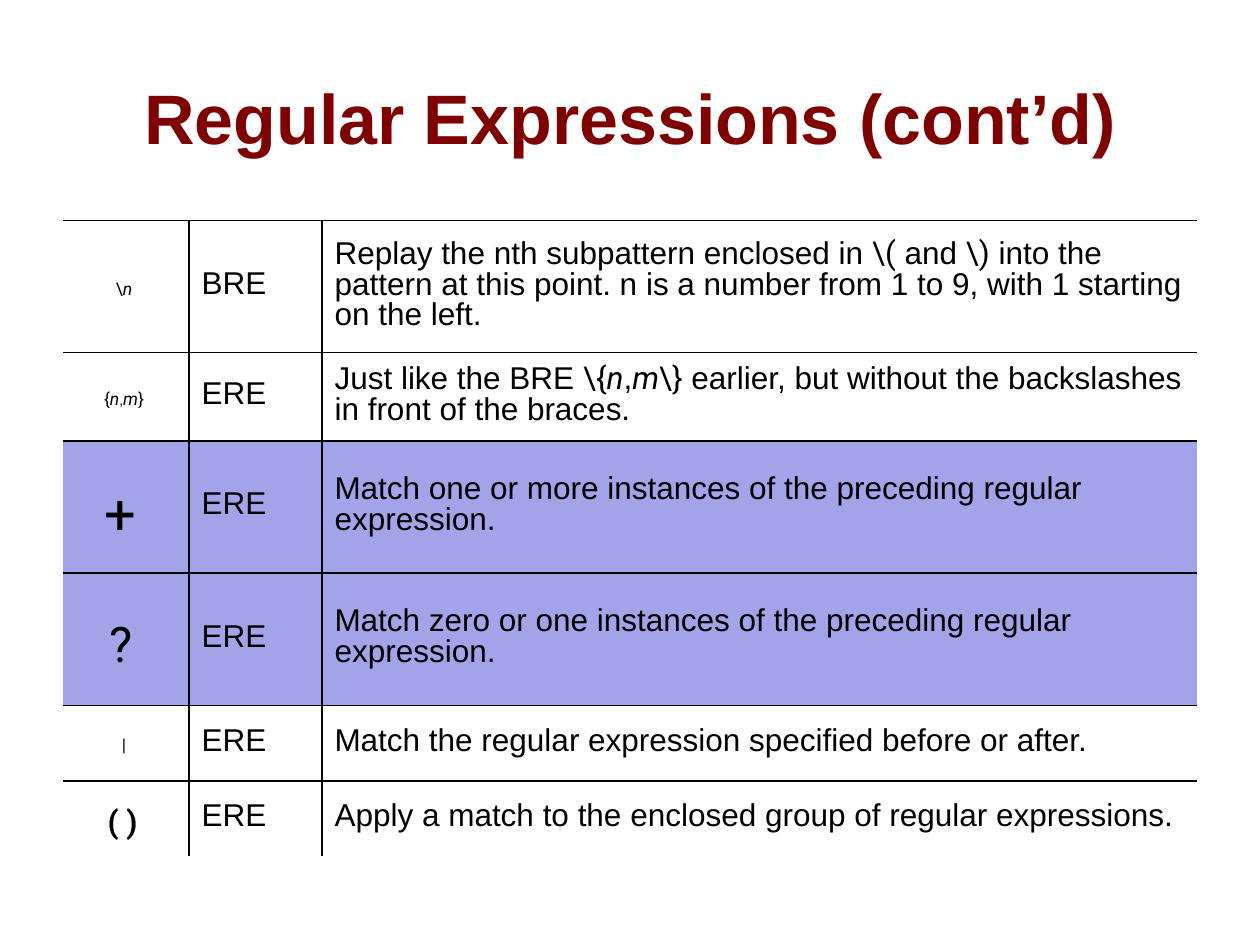
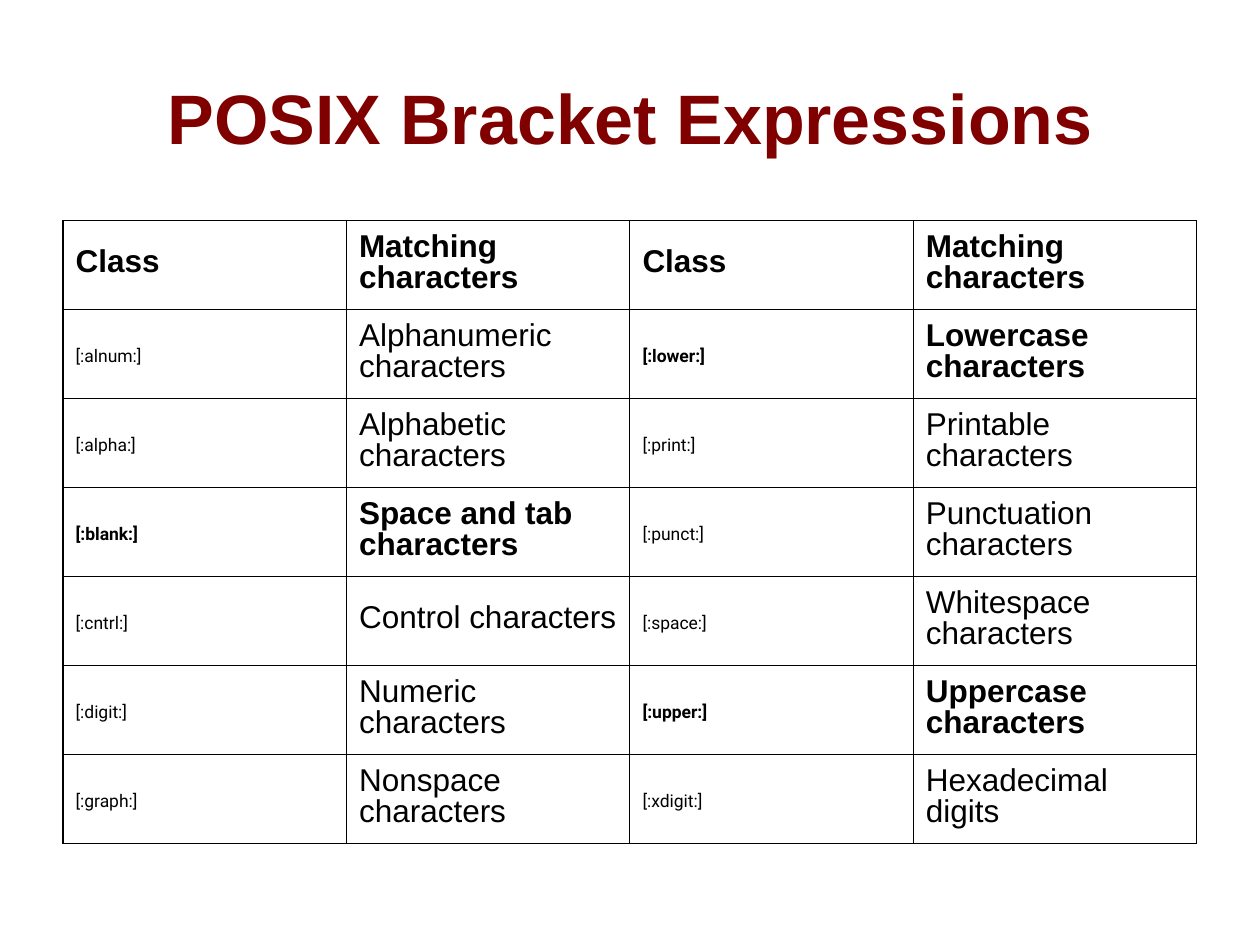
import pptx
import pptx.util
import pptx.dml.color
import pptx.enum.text
import lxml.etree

# Content: a run is (text, size, marks); marks: r = Roboto, i = italic, b = bold
TITLES = ["Regular Expressions (cont’d)", "POSIX Bracket Expressions"]

RULES = [
    ([("\\", 10, "r"), ("n", 10, "ri"), (" ", 8, "")], "BRE ",
     [("Replay the nth subpattern enclosed in ", 18, ""), ("\\(", 18, "r"),
      (" and ", 18, ""), ("\\)", 18, "r"),
      (" into the pattern at this point. n is a number from 1 to 9, "
       "with 1 starting on the left. ", 18, "")]),
    ([("{", 10, "r"), ("n", 10, "ri"), (",", 8, ""), ("m", 10, "ri"),
      ("}", 10, "r"), (" ", 8, "")], "ERE ",
     [("Just like the BRE ", 18, ""), ("\\{", 18, "r"), ("n", 18, "ri"),
      (",", 18, ""), ("m", 18, "ri"), ("\\}", 18, "r"),
      (" earlier, but without the backslashes in front of the braces. ",
       18, "")]),
    ([("+", 32, "r"), (" ", 24, "")], "ERE ",
     [("Match one or more instances of the preceding regular expression. ",
       18, "")]),
    ([("?", 28, "r"), (" ", 20, "")], "ERE ",
     [("Match zero or one instances of the preceding regular expression. ",
       18, "")]),
    ([("|", 10, "r"), (" ", 8, "")], "ERE ",
     [("Match the regular expression specified before or after. ", 18, "")]),
    ([("( )", 18, "rb"), (" ", 14, "b")], "ERE ",
     [("Apply a match to the enclosed group of regular expressions.",
       18, "")]),
]
SHADED = (2, 3)

HEADS = ["Class ", "Matching characters "] * 2
CLASSES = [
    ("alnum", "Alphanumeric characters ", "lower", "Lowercase characters "),
    ("alpha", "Alphabetic characters ", "print", "Printable characters "),
    ("blank", "Space and tab characters ", "punct", "Punctuation characters "),
    ("cntrl", "Control characters ", "space", "Whitespace characters "),
    ("digit", "Numeric characters ", "upper", "Uppercase characters "),
    ("graph", "Nonspace characters ", "xdigit", "Hexadecimal digits "),
]
STRONG = ("lower", "blank", "upper")

# Shared look, lengths in pixels
MAROON, BLACK, LILAC = "800000", "000000", "A3A3E9"
SCALE = 914400 // 126
LEFT, TOP, WIDTH = 63, 220.5, 1134
TIGHT, LOOSE = 0.87, 1.25
SIDES = ("L", "R", "T", "B")
CENTER = pptx.enum.text.PP_ALIGN.CENTER
MIDDLE = pptx.enum.text.MSO_ANCHOR.MIDDLE


def px(num):
    return pptx.util.Emu(round(num * SCALE))


def color(hex_code):
    return pptx.dml.color.RGBColor.from_string(hex_code)


def add_run(para, text, size, marks, tint=BLACK):
    run = para.add_run()
    run.text = text
    font = run.font
    font.name = "Roboto" if "r" in marks else "Arial"
    font.size = pptx.util.Pt(size)
    font.bold = "b" in marks
    font.italic = "i" in marks
    font.color.rgb = color(tint)


def add_slide(deck, title):
    slide = deck.slides.add_slide(deck.slide_layouts[5])
    head = slide.shapes.title
    head.left, head.top = px(LEFT), px(38)
    head.width, head.height = px(WIDTH), px(157)
    head.text_frame.vertical_anchor = MIDDLE
    para = head.text_frame.paragraphs[0]
    para.alignment = CENTER
    add_run(para, title, 40, "b", MAROON)
    return slide


def add_grid(slide, cols, rows):
    frame = slide.shapes.add_table(len(rows), len(cols), px(LEFT), px(TOP),
                                   px(sum(cols)), px(sum(rows)))
    grid = frame.table
    grid.first_row = grid.horz_banding = False
    for col, wide in zip(grid.columns, cols):
        col.width = px(wide)
    for row, high in zip(grid.rows, rows):
        row.height = px(high)
    return grid


def set_edges(cell, drawn, points):
    props = cell._tc.get_or_add_tcPr()
    for place, side in enumerate(SIDES):
        line = lxml.etree.Element(pptx.oxml.ns.qn("a:ln" + side),
                                  w=str(pptx.util.Pt(points)))
        props.insert(place, line)
        if side not in drawn:
            lxml.etree.SubElement(line, pptx.oxml.ns.qn("a:noFill"))
            continue
        fill = lxml.etree.SubElement(line, pptx.oxml.ns.qn("a:solidFill"))
        lxml.etree.SubElement(fill, pptx.oxml.ns.qn("a:srgbClr"), val=BLACK)


def fill_cell(cell, runs, spacing, edges, points, align=None, back=None):
    cell.vertical_anchor = MIDDLE
    cell.margin_left = cell.margin_right = pptx.util.Inches(0.1)
    cell.margin_top = pptx.util.Inches(0.03 if spacing == TIGHT else 0.05)
    cell.margin_bottom = pptx.util.Inches(0.05)
    para = cell.text_frame.paragraphs[0]
    para.line_spacing = spacing
    if align is not None:
        para.alignment = align
    for run in runs:
        add_run(para, *run)
    if back:
        cell.fill.solid()
        cell.fill.fore_color.rgb = color(back)
    else:
        cell.fill.background()
    set_edges(cell, edges, points)


deck = pptx.Presentation()
deck.slide_width, deck.slide_height = px(1260), px(945)

# Slide 1: operators, open at the left, right and bottom
grid = add_grid(add_slide(deck, TITLES[0]), [126, 133, 875],
                [132, 88.5, 132, 132.5, 75.5, 75.5])
for r, (sign, kind, about) in enumerate(RULES):
    cells = [sign, [(kind, 18, "")], about]
    for c, runs in enumerate(cells):
        edges = "T"
        edges += "L" if c > 0 else ""
        edges += "R" if c < len(cells) - 1 else ""
        edges += "B" if r < len(RULES) - 1 else ""
        fill_cell(grid.cell(r, c), runs, TIGHT if c else LOOSE, edges, 0.99,
                  None if c else CENTER, LILAC if r in SHADED else None)

# Slide 2: character classes, fully ruled
count = len(CLASSES) + 1
grid = add_grid(add_slide(deck, TITLES[1]), [WIDTH / 4] * 4, [89] * count)
for c, head in enumerate(HEADS):
    fill_cell(grid.cell(0, c), [(head, 18, "b")], TIGHT, SIDES, 0.75)
for r, row in enumerate(CLASSES, 1):
    for c in (0, 2):
        name, about = row[c:c + 2]
        bold = "b" if name in STRONG else ""
        code = [(f"[:{name}:]", 10, "r" + bold), (" ", 8, bold)]
        fill_cell(grid.cell(r, c), code, LOOSE, SIDES, 0.75)
        fill_cell(grid.cell(r, c + 1), [(about, 18, bold)], TIGHT, SIDES, 0.75)

deck.save("out.pptx")
